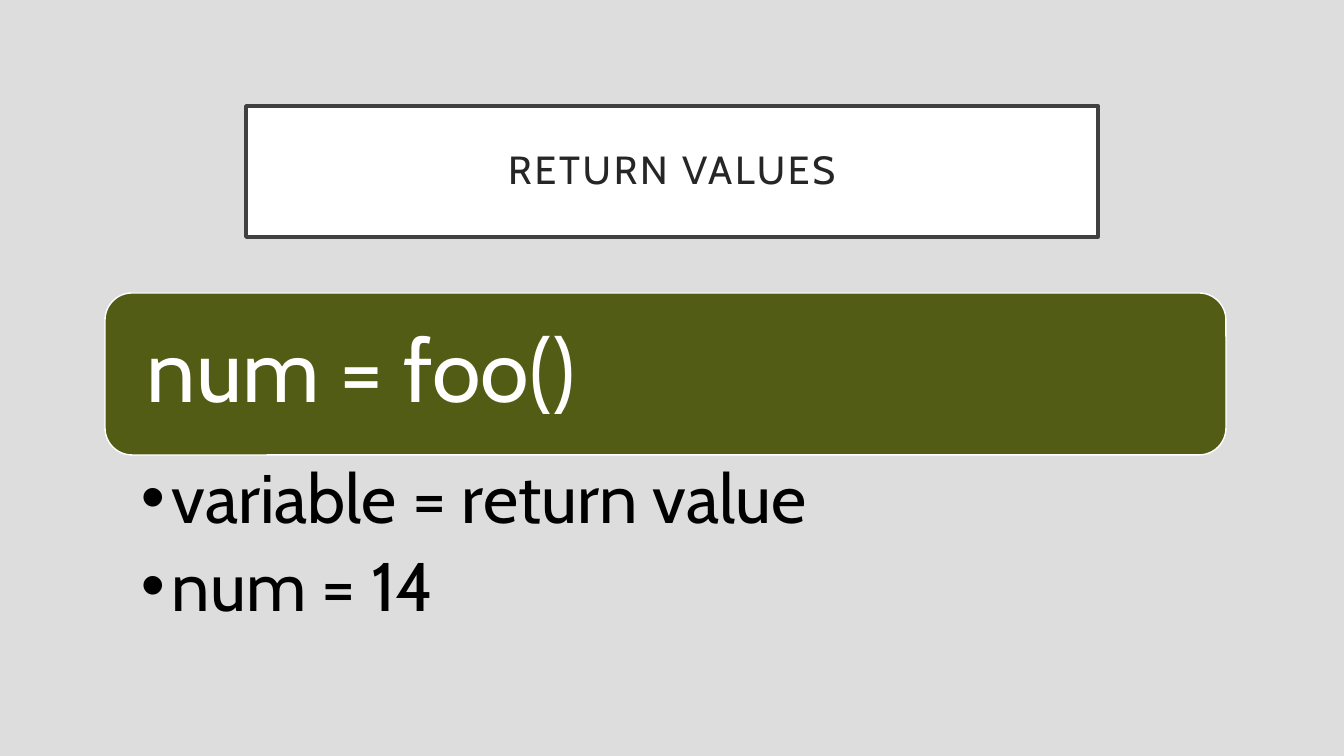
"""Build the slide on return values."""
from dataclasses import dataclass

from lxml.etree import SubElement
from pptx import Presentation
from pptx.dml.color import RGBColor
from pptx.enum.shapes import MSO_SHAPE
from pptx.enum.text import MSO_ANCHOR, MSO_AUTO_SIZE, PP_ALIGN
from pptx.oxml.ns import qn
from pptx.util import Emu, Pt

GREY = RGBColor(0xDD, 0xDD, 0xDD)
WHITE = RGBColor(0xFF, 0xFF, 0xFF)
BLACK = RGBColor(0x00, 0x00, 0x00)
CHARCOAL = RGBColor(0x26, 0x26, 0x26)
BORDER = RGBColor(0x40, 0x40, 0x40)
OLIVE = RGBColor(0x53, 0x5C, 0x14)

FONT = "Cabin"
BULLET_INDENT = 31


@dataclass(frozen=True)
class Box:
    left: int
    top: int
    width: int
    height: int


TITLE = Box(246, 106, 852, 131)
CALL = Box(105, 293, 1121, 162)
RESULTS = Box(105, 455, 1121, 180)


def px(count: int) -> Emu:
    return Emu(round(count * 914400 / 100.8))


def place(shape, box: Box) -> None:
    shape.left, shape.top = px(box.left), px(box.top)
    shape.width, shape.height = px(box.width), px(box.height)


def paint(shape, fill: RGBColor, line: RGBColor, weight: float) -> None:
    shape.fill.solid()
    shape.fill.fore_color.rgb = fill
    shape.line.color.rgb = line
    shape.line.width = Pt(weight)


def write(shape, *lines: str, size: int, color: RGBColor,
          insets: tuple[int, int, int, int], anchor=MSO_ANCHOR.MIDDLE,
          align=PP_ALIGN.LEFT, tracking: int = 0, after: int = 0,
          bulleted: bool = False) -> None:
    frame = shape.text_frame
    frame.word_wrap = True
    frame.auto_size = MSO_AUTO_SIZE.NONE
    frame.vertical_anchor = anchor
    (frame.margin_left, frame.margin_top,
     frame.margin_right, frame.margin_bottom) = map(px, insets)
    frame.text = "\n".join(lines)
    for paragraph in frame.paragraphs:
        paragraph.alignment = align
        paragraph.line_spacing = 0.9
        paragraph.space_before = Pt(0)
        paragraph.space_after = Pt(after)
        if bulleted:
            paragraph.level = 1
            properties = paragraph._p.get_or_add_pPr()
            properties.set("marL", str(px(BULLET_INDENT)))
            properties.set("indent", str(-px(BULLET_INDENT)))
            SubElement(properties, qn("a:buChar"), char="•")
        for run in paragraph.runs:
            run.font.name = FONT
            run.font.size = Pt(size)
            run.font.color.rgb = color
            if tracking:
                run._r.get_or_add_rPr().set("spc", str(tracking * 100))


def main() -> None:
    deck = Presentation()
    deck.slide_width, deck.slide_height = px(1344), px(756)
    slide = deck.slides.add_slide(deck.slide_layouts[1])
    slide.background.fill.solid()
    slide.background.fill.fore_color.rgb = GREY

    title = slide.shapes.title
    place(title, TITLE)
    paint(title, WHITE, BORDER, 2.5)
    write(title, "RETURN VALUES", size=28, color=CHARCOAL,
          insets=(20, 20, 20, 20), align=PP_ALIGN.CENTER, tracking=2)

    call = slide.shapes.add_shape(
        MSO_SHAPE.ROUNDED_RECTANGLE,
        px(CALL.left), px(CALL.top), px(CALL.width), px(CALL.height))
    call.shadow.inherit = False
    paint(call, OLIVE, WHITE, 1)
    write(call, "num = foo()", size=63, color=WHITE, insets=(34, 26, 34, 26))

    results = slide.placeholders[1]
    place(results, RESULTS)
    write(results, "variable = return value", "num = 14", size=49, color=BLACK,
          insets=(36, 9, 49, 9), anchor=MSO_ANCHOR.TOP, after=10, bulleted=True)

    deck.save("out.pptx")


if __name__ == "__main__":
    main()
